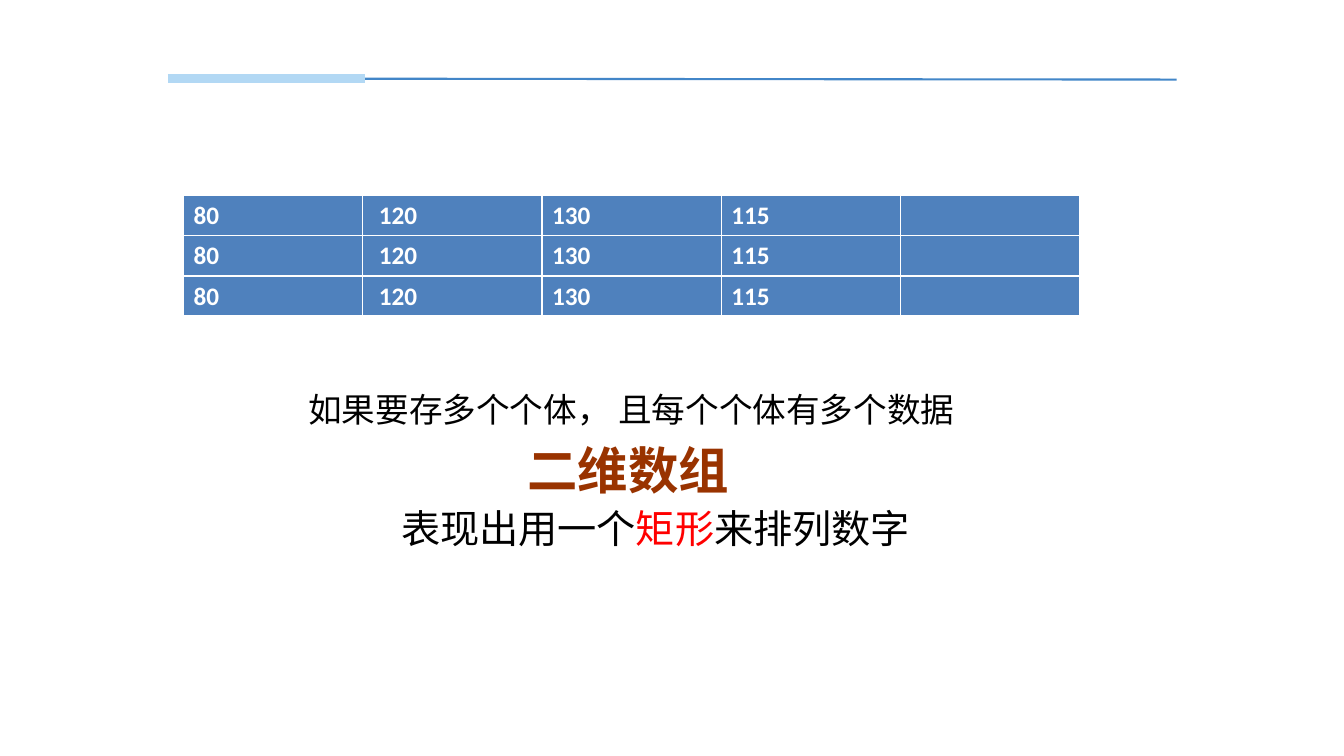
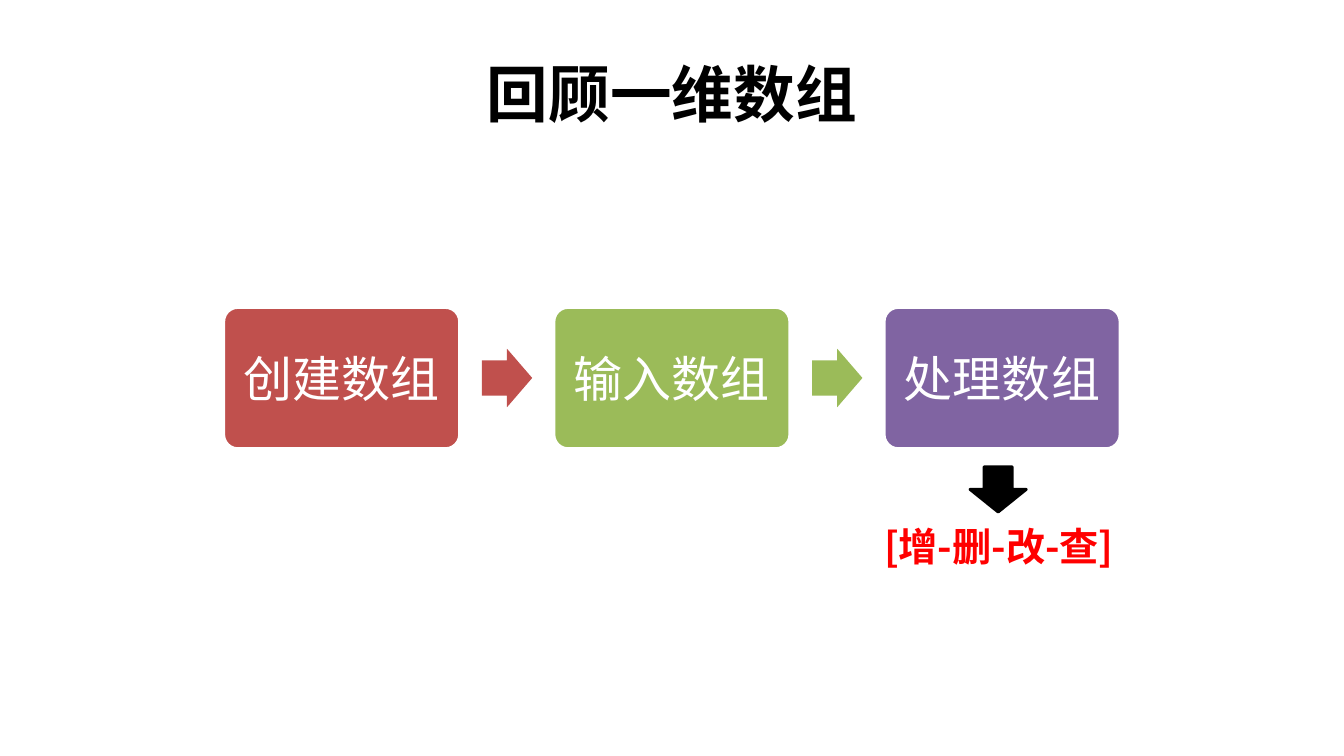
from dataclasses import dataclass

from lxml import etree
from pptx import Presentation, util as u
from pptx.dml.color import RGBColor
from pptx.enum import shapes, text
from pptx.oxml import parse_xml
from pptx.oxml.ns import nsdecls, qn


@dataclass(frozen=True)
class Theme:
    cjk: str = "Noto Sans CJK SC"
    latin: str = "Calibri"
    black: str = "000000"
    white: str = "FFFFFF"
    red: str = "FF0000"
    brown: str = "993300"
    cell: str = "4F81BD"
    rule: str = "4286C8"
    accent: str = "B2D8F4"
    steps: tuple = ("C0504D", "9BBB59", "8064A2")
    title_size: int = 44
    emphasis_size: int = 36
    step_size: int = 35
    note_size: int = 28
    body_size: int = 24
    cell_size: int = 18


theme = Theme()
presentation = Presentation()
presentation.slide_width = u.Inches(13.33)
presentation.slide_height = u.Inches(7.5)


def place(left, top, width, height):
    across = presentation.slide_width / 100
    down = presentation.slide_height / 100
    return [u.Emu(round(length)) for length in
            (left * across, top * down, width * across, height * down)]


def style_run(run, size, color, bold=False, face=theme.cjk):
    run.font.size = u.Pt(size)
    run.font.bold = bold
    run.font.color.rgb = RGBColor.from_string(color)
    run.font.name = face
    east_asian = etree.SubElement(run.font._element, qn("a:ea"))
    east_asian.set("typeface", face)


slide = presentation.slides.add_slide(presentation.slide_layouts[6])

for left, right, slope, color, weight in (
    (20.1, 87.55, 0.13, theme.rule, 1.5),
    (12.5, 27.16, 0, theme.accent, 6),
):
    x, y, width, height = place(left, 10.4, right - left, slope)
    line = slide.shapes.add_connector(
        shapes.MSO_CONNECTOR.STRAIGHT, x, y, x + width, y + height)
    line.line.color.rgb = RGBColor.from_string(color)
    line.line.width = u.Pt(weight)
    etree.SubElement(line._element.spPr, qn("a:effectLst"))

values = ("80", "120", "130", "115", "")
row_height = 5.33
for row in range(3):
    frame = slide.shapes.add_table(
        1, len(values), *place(13.65, 25.87 + row * row_height, 66.69, row_height))
    table = frame.table
    table.first_row = table.horz_banding = False
    for column, value in enumerate(values):
        cell = table.cell(0, column)
        cell.text_frame.text = value
        cell.margin_left = u.Inches(0.16 if column == 1 else 0.1)
        cell.fill.solid()
        cell.fill.fore_color.rgb = RGBColor.from_string(theme.cell)
        for run in cell.text_frame.paragraphs[0].runs:
            style_run(run, theme.cell_size, theme.white, True, theme.latin)
        borders = (("lnL", 1), ("lnR", 1), ("lnT", 1), ("lnB", 3))
        for position, (side, weight) in enumerate(borders):
            cell._tc.get_or_add_tcPr().insert(position, parse_xml(
                f'<a:{side} {nsdecls("a")} w="{u.Pt(weight)}"><a:solidFill>'
                f'<a:srgbClr val="{theme.white}"/></a:solidFill></a:{side}>'))

review = presentation.slides.add_slide(presentation.slide_layouts[5])
title = review.shapes.title
title.left, title.top, title.width, title.height = place(5, 4, 90, 16.67)
title.text_frame.text = "回顾一维数组"
title.text_frame.vertical_anchor = text.MSO_ANCHOR.MIDDLE
title.text_frame.paragraphs[0].alignment = text.PP_ALIGN.CENTER
style_run(title.text_frame.paragraphs[0].runs[0], theme.title_size, theme.black, True)

step_pitch = 24.57
steps = ("创建数组", "输入数组", "处理数组")
for index, (label, color) in enumerate(zip(steps, theme.steps)):
    left = 16.65 + index * step_pitch
    step = review.shapes.add_shape(
        shapes.MSO_SHAPE.ROUNDED_RECTANGLE, *place(left, 40.67, 17.55, 18.67))
    step.shadow.inherit = False
    step.adjustments[0] = 0.1
    step.fill.solid()
    step.fill.fore_color.rgb = RGBColor.from_string(color)
    step.line.color.rgb = RGBColor.from_string(theme.white)
    step.line.width = u.Pt(2)
    step.text_frame.text = label
    step.text_frame.vertical_anchor = text.MSO_ANCHOR.MIDDLE
    step.text_frame.paragraphs[0].alignment = text.PP_ALIGN.CENTER
    style_run(step.text_frame.paragraphs[0].runs[0], theme.step_size, theme.white)
    if index < len(steps) - 1:
        arrow = review.shapes.add_shape(
            shapes.MSO_SHAPE.RIGHT_ARROW, *place(left + 19.2, 46.13, 3.75, 7.73))
        arrow.shadow.inherit = False
        arrow.adjustments[0] = 0.6
        arrow.adjustments[1] = 0.5
        arrow.fill.solid()
        arrow.fill.fore_color.rgb = RGBColor.from_string(color)
        arrow.line.fill.background()

down_arrow = review.shapes.add_shape(
    shapes.MSO_SHAPE.DOWN_ARROW, *place(72.17, 61.73, 4.2, 6))
down_arrow.shadow.inherit = False
down_arrow.fill.solid()
down_arrow.fill.fore_color.rgb = RGBColor.from_string(theme.black)
down_arrow.line.color.rgb = RGBColor.from_string(theme.black)
down_arrow.line.width = u.Pt(2)

notes = (
    (slide, (38.5, 57.47, 19.58, 9.47), theme.emphasis_size, True,
     (("二维数组", theme.brown),)),
    (slide, (22.2, 50.8, 52.2, 6.67), theme.body_size, False,
     (("如果要存多个个体， 且每个个体有多个数据", theme.black),)),
    (slide, (29.1, 66, 39.84, 7.6), theme.note_size, False,
     (("表现出用一个", theme.black), ("矩形", theme.red), ("来排列数字", theme.black))),
    (review, (65.04, 68.4, 19.43, 7.6), theme.note_size, True,
     (("[增-删-改-查]", theme.red),)),
)
for page, area, size, bold, pieces in notes:
    note = page.shapes.add_textbox(*place(*area))
    note.text_frame.word_wrap = True
    paragraph = note.text_frame.paragraphs[0]
    for wording, color in pieces:
        run = paragraph.add_run()
        run.text = wording
        style_run(run, size, color, bold)

presentation.save("out.pptx")
